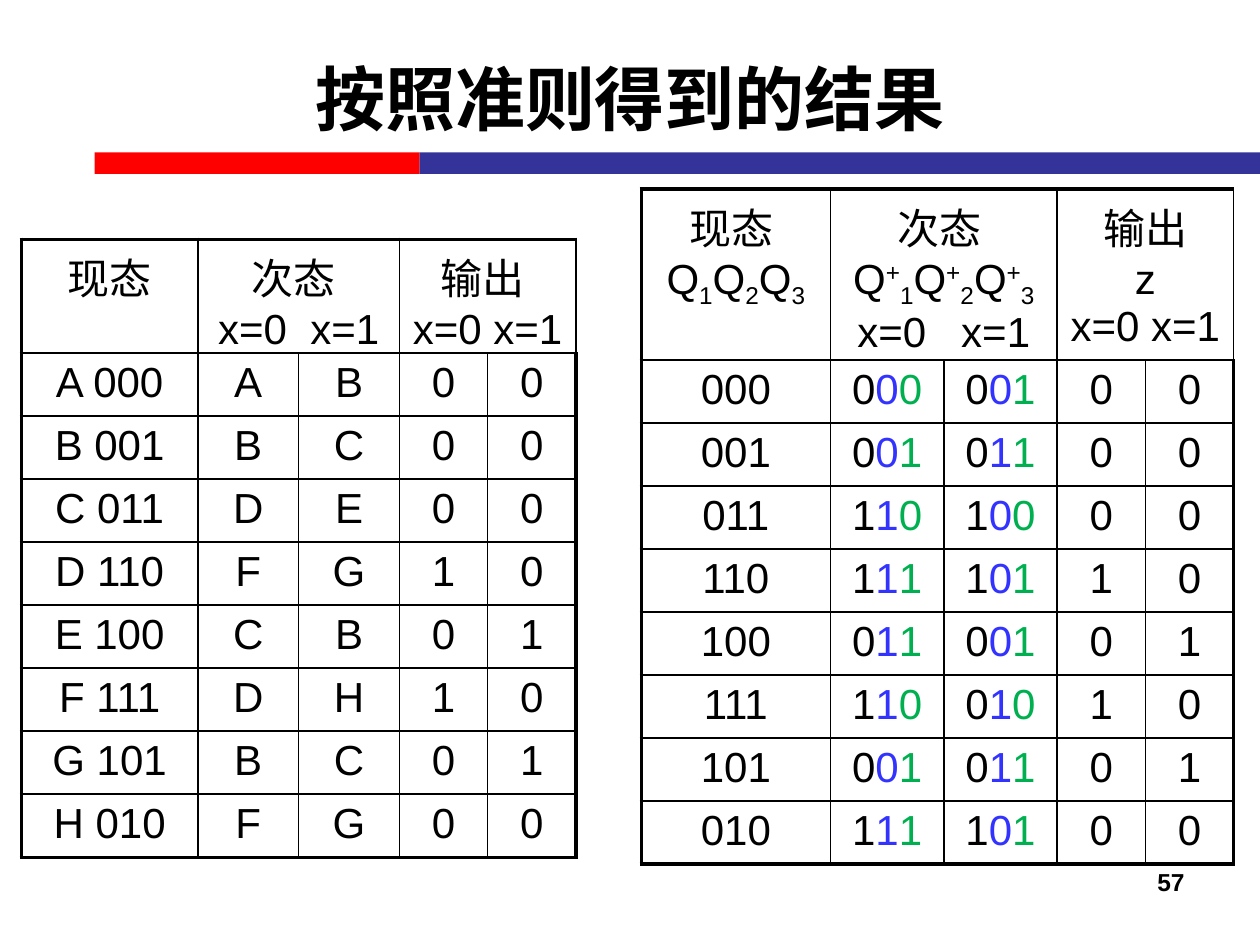
from lxml import etree
from pptx import Presentation
from pptx.dml.color import RGBColor
from pptx.enum.shapes import MSO_SHAPE
from pptx.enum.text import MSO_ANCHOR, PP_ALIGN
from pptx.oxml.ns import qn
from pptx.util import Inches, Pt

CENTER, RIGHT = PP_ALIGN.CENTER, PP_ALIGN.RIGHT
MIDDLE = MSO_ANCHOR.MIDDLE
RECTANGLE = MSO_SHAPE.RECTANGLE
COLORS = {
    "black": "000000", "white": "FFFFFF", "red": "FF0000",
    "navy": "333399", "blue": "3333FF", "green": "00B050",
}
LATIN, CHINESE = "Arial", "Noto Sans CJK SC"
BASELINES = {"_": "-25000", "^": "30000"}
BIT_COLORS = ("black", "blue", "green")
OUTER, INNER = 2.25, 1

STATE_HEADER = ["现态", "次态 \nx=0  x=1", "输出 \nx=0 x=1"]
STATE_ROWS = [
    ("A 000", "A", "B", "0", "0"),
    ("B 001", "B", "C", "0", "0"),
    ("C 011", "D", "E", "0", "0"),
    ("D 110", "F", "G", "1", "0"),
    ("E 100", "C", "B", "0", "1"),
    ("F 111", "D", "H", "1", "0"),
    ("G 101", "B", "C", "0", "1"),
    ("H 010", "F", "G", "0", "0"),
]
CODE_HEADER = [
    "现态 \vQ_1Q_2Q_3",
    "次态 \nQ^+_1Q^+_2Q^+_3\nx=0   x=1",
    "输出\nz\nx=0 x=1",
]


def rgb(name):
    """Return the named colour."""
    return RGBColor.from_string(COLORS[name])


def style_para(para, size, align, bold=False, latin=LATIN):
    """Set alignment and font of a paragraph."""
    para.alignment = align
    font = para.font
    font.size, font.bold, font.name = Pt(size), bold, latin
    font.color.rgb = rgb("black")
    defaults = para._p.pPr.find(qn("a:defRPr"))
    etree.SubElement(defaults, qn("a:ea"), typeface=CHINESE)


def add_marked_text(para, text):
    """Add text in which _ lowers and ^ raises the next character."""
    plain, marks = "", iter(text)
    for char in marks:
        if char in BASELINES or char == "\v":
            if plain:
                para.add_run().text = plain
            plain = ""
            if char == "\v":
                para.add_line_break()
            else:
                span = para.add_run()
                span.text = next(marks)
                span.font._element.set("baseline", BASELINES[char])
        else:
            plain += char
    if plain:
        para.add_run().text = plain


def add_bits(para, bits):
    """Add one coloured run for each state bit."""
    for bit, color in zip(bits, BIT_COLORS):
        span = para.add_run()
        span.text = bit
        span.font.color.rgb = rgb(color)


def fill_cell(cell, text, colored):
    """Write the centred lines of a cell."""
    for index, line in enumerate(text.split("\n")):
        frame = cell.text_frame
        para = frame.add_paragraph() if index else frame.paragraphs[0]
        style_para(para, 24, CENTER)
        (add_bits if colored else add_marked_text)(para, line)


def border_cell(cell, widths):
    """Draw the left, right, top and bottom borders of a cell."""
    props = cell._tc.get_or_add_tcPr()
    for index, (side, width) in enumerate(zip("LRTB", widths)):
        line = etree.Element(qn(f"a:ln{side}"), w=str(Pt(width)))
        fill = etree.SubElement(line, qn("a:solidFill"))
        etree.SubElement(fill, qn("a:srgbClr"), val=COLORS["black"])
        props.insert(index, line)


def add_state_table(page, box, columns, heights, header, body, colored=(), fill=None):
    """Place a transition table with merged header cells in the box."""
    rows = [(header[0], header[1], "", header[2], "")] + body
    left, top, width, height = map(Inches, box)
    frame = page.shapes.add_table(len(rows), len(columns), left, top, width, height)
    table = frame.table
    table.first_row = table.horz_banding = False
    for column, size in zip(table.columns, columns):
        column.width = Inches(size)
    for index, row in enumerate(table.rows):
        row.height = Inches(heights[min(index, 1)])
    frame.height = height
    for first in (1, 3):
        table.cell(0, first).merge(table.cell(0, first + 1))
    last_row, last_column = len(rows) - 1, len(columns) - 1
    for r, values in enumerate(rows):
        for c, text in enumerate(values):
            cell = table.cell(r, c)
            if fill:
                cell.fill.solid()
                cell.fill.fore_color.rgb = rgb(fill)
            else:
                cell.fill.background()
            edges = (c == 0, c == last_column, r == 0, r == last_row)
            border_cell(cell, [OUTER if edge else INNER for edge in edges])
            if text:
                fill_cell(cell, text, r > 0 and c in colored)


def add_text(page, box, text, size, align, latin=LATIN, anchor=None):
    """Place one bold line of text in the box."""
    frame = page.shapes.add_textbox(*map(Inches, box)).text_frame
    frame.word_wrap = True
    frame.vertical_anchor = anchor
    para = frame.paragraphs[0]
    style_para(para, size, align, True, latin)
    para.add_run().text = text


def add_rule(page, box, split):
    """Place the two-coloured rule, changing colour at the split."""
    left, top, width, height = box
    parts = (("red", left, split), ("navy", left + split, width - split))
    for color, start, length in parts:
        bar = page.shapes.add_shape(RECTANGLE, *map(Inches, (start, top, length, height)))
        bar.shadow.inherit = False
        bar.fill.solid()
        bar.fill.fore_color.rgb = rgb(color)
        bar.line.fill.background()


def main():
    """Build the slide and save the deck."""
    deck = Presentation()
    deck.slide_width, deck.slide_height = Inches(10), Inches(7.5)
    page = deck.slides.add_slide(deck.slide_layouts[6])
    code_rows = []
    codes = {row[0][0]: row[0][2:] for row in STATE_ROWS}
    for state, low, high, *outputs in STATE_ROWS:
        code_rows.append((codes[state[0]], codes[low], codes[high], *outputs))

    add_rule(page, (0.75, 1.21, 9.25, 0.17), 2.58)
    add_text(page, (7.17, 6.83, 2.33, 0.52), "57", 14, RIGHT)
    add_state_table(page, (5.09, 1.5, 4.7, 5.3), (1.5, 0.9, 0.9, 0.7, 0.7),
                    (0.78, 0.4), CODE_HEADER, code_rows, (1, 2), "white")
    add_state_table(page, (0.17, 1.9, 4.4, 4.9), (1.4, 0.8, 0.8, 0.7, 0.7),
                    (0.89, 0.42), STATE_HEADER, STATE_ROWS)
    add_text(page, (0.5, 0.15, 9, 1.25), "按照准则得到的结果", 40, CENTER, CHINESE, MIDDLE)
    deck.save("out.pptx")


if __name__ == "__main__":
    main()
